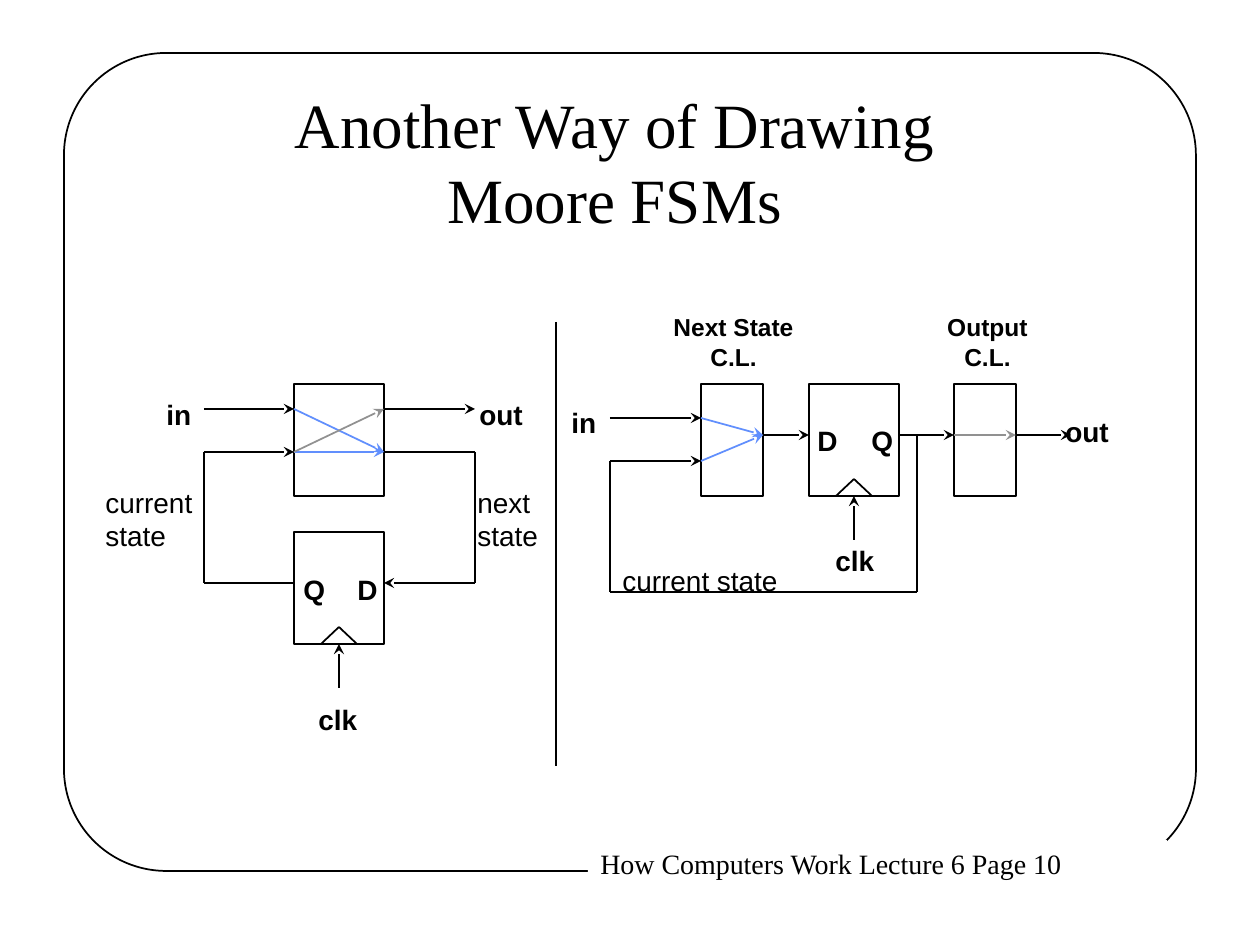
import itertools

import pptx
import pptx.dml.color
import pptx.enum.shapes
import pptx.enum.text
import pptx.oxml
import pptx.oxml.ns
import pptx.util

PX = 914400 / 126
BLACK, WHITE, BLUE, GRAY = "000000", "FFFFFF", "618FFD", "919191"
SANS, SERIF = "Arial", "Times New Roman"
SHAPES = pptx.enum.shapes.MSO_SHAPE
LEFT = pptx.enum.text.PP_ALIGN.LEFT
CENTER = pptx.enum.text.PP_ALIGN.CENTER

TITLE = ["Another Way of Drawing", "Moore FSMs"]
FOOTER = "How Computers Work Lecture 6 Page 10"

BOX_HEIGHT = 112
# left, top, width
LOGIC_BOXES = [(294, 384, 90), (701, 384, 62), (954, 384, 62)]
REGISTERS = [(294, 532, 90), (809, 384, 90)]
CLOCK_HALF_WIDTH, CLOCK_HEIGHT, CLOCK_WIRE = 18, 17, 44

# points, colour, arrow at the last point
WIRES = [
    ([(556, 322), (556, 766)], BLACK, False),
    # Left machine
    ([(204, 409), (294, 409)], BLACK, True),
    ([(384, 409), (475, 409)], BLACK, True),
    ([(384, 452), (475, 452), (475, 583), (384, 583)], BLACK, True),
    ([(294, 583), (204, 583), (204, 452), (294, 452)], BLACK, True),
    ([(294, 409), (384, 452)], BLUE, True),
    ([(294, 452), (384, 452)], BLUE, True),
    ([(294, 452), (384, 409)], GRAY, True),
    # Right machine
    ([(610, 418), (701, 418)], BLACK, True),
    ([(701, 418), (763, 435)], BLUE, True),
    ([(701, 461), (763, 435)], BLUE, True),
    ([(763, 435), (809, 435)], BLACK, True),
    ([(899, 435), (954, 435)], BLACK, True),
    ([(954, 435), (1016, 435)], GRAY, True),
    ([(1016, 435), (1071, 435)], BLACK, True),
    ([(917, 435), (917, 592), (610, 592), (610, 461), (701, 461)], BLACK, True),
]

# lines, left, top, width
SIGNAL_LABELS = [
    (["in"], 154, 391, 53),
    (["out"], 467, 391, 73),
    (["Q"], 291, 566, 48),
    (["D"], 345, 566, 47),
    (["clk"], 306, 696, 66),
    (["in"], 559, 399, 53),
    (["out"], 1053, 408, 73),
    (["D"], 805, 417, 47),
    (["Q"], 859, 417, 48),
    (["clk"], 823, 537, 66),
]
STATE_LABELS = [
    (["next", "state"], 465, 479, 91),
    (["current", "state"], 93, 479, 122),
    (["current state"], 610, 557, 194),
]
LOGIC_LABELS = [
    (["Next State", "C.L."], 656, 306, 155),
    (["Output", "C.L."], 930, 306, 115),
]
# labels, size, bold, alignment, box height by number of lines
LABEL_GROUPS = [
    (SIGNAL_LABELS, 16, True, LEFT, {1: 46}),
    (STATE_LABELS, 16, False, LEFT, {1: 46, 2: 79}),
    (LOGIC_LABELS, 14, True, CENTER, {2: 72}),
]


def px(*lengths):
    return [pptx.util.Emu(round(length * PX)) for length in lengths]


def color(value):
    return pptx.dml.color.RGBColor.from_string(value)


def add_box(slide, kind, left, top, width, height, fill=None, line=None):
    shape = slide.shapes.add_shape(kind, *px(left, top, width, height))
    shape.shadow.inherit = False
    for part, value in ((shape.fill, fill), (shape.line.fill, line)):
        if value:
            part.solid()
            part.fore_color.rgb = color(value)
        else:
            part.background()
    if line:
        shape.line.width = pptx.util.Pt(1)
    return shape


def add_run(paragraph, text, size, font, bold=False):
    run = paragraph.add_run()
    run.text = text
    run.font.size = pptx.util.Pt(size)
    run.font.name = font
    run.font.bold = bold
    run.font.color.rgb = color(BLACK)


def add_label(slide, lines, left, top, width, height, size, bold, alignment):
    frame = slide.shapes.add_textbox(*px(left, top, width, height)).text_frame
    frame.word_wrap = False
    for number, text in enumerate(lines):
        paragraph = frame.add_paragraph() if number else frame.paragraphs[0]
        paragraph.alignment = alignment
        add_run(paragraph, text, size, SANS, bold)


def add_line(slide, start, end, line_color=BLACK, arrow=False):
    line = slide.shapes.add_connector(
        pptx.enum.shapes.MSO_CONNECTOR.STRAIGHT, *px(*start, *end))
    line.line.width = pptx.util.Pt(1)
    line.line.color.rgb = color(line_color)
    if arrow:
        outline = line.line._get_or_add_ln()
        outline.append(pptx.oxml.parse_xml(
            f'<a:tailEnd {pptx.oxml.ns.nsdecls("a")} type="stealth"/>'))
    properties = line._element.spPr
    properties.append(pptx.oxml.parse_xml(
        f'<a:effectLst {pptx.oxml.ns.nsdecls("a")}/>'))
    return line


def add_wire(slide, points, line_color, arrow):
    for start, end in itertools.pairwise(points):
        add_line(slide, start, end, line_color, arrow and end == points[-1])


def add_register(slide, left, top, width):
    """Draw a register with its clock notch and clock input."""
    box = add_box(slide, SHAPES.RECTANGLE, left, top, width, BOX_HEIGHT, WHITE, BLACK)
    middle, bottom = left + width // 2, top + BOX_HEIGHT
    notch = [(middle - CLOCK_HALF_WIDTH, bottom), (middle, bottom - CLOCK_HEIGHT),
             (middle + CLOCK_HALF_WIDTH, bottom)]
    add_wire(slide, notch, BLACK, False)
    clock = add_line(slide, (middle, bottom + CLOCK_WIRE), (middle, bottom), arrow=True)
    clock.end_connect(box, 2)


def add_frame(slide):
    border = add_box(slide, SHAPES.ROUNDED_RECTANGLE, 64, 53, 1132, 818, line=BLACK)
    border.adjustments[0] = 0.125
    footer = add_box(slide, SHAPES.RECTANGLE, 588, 840, 579, 46, fill=WHITE)
    frame = footer.text_frame
    frame.word_wrap = False
    frame.vertical_anchor = pptx.enum.text.MSO_ANCHOR.TOP
    frame.paragraphs[0].alignment = LEFT
    add_run(frame.paragraphs[0], FOOTER, 16, SERIF)


def add_title(slide):
    frame = slide.shapes.add_textbox(*px(210, 136, 809, 50)).text_frame
    frame.word_wrap = True
    frame.vertical_anchor = pptx.enum.text.MSO_ANCHOR.MIDDLE
    paragraph = frame.paragraphs[0]
    paragraph.alignment = CENTER
    for number, text in enumerate(TITLE):
        if number:
            paragraph.add_line_break()
        add_run(paragraph, text, 36, SERIF)


def main():
    presentation = pptx.Presentation()
    presentation.slide_width, presentation.slide_height = px(1260, 945)
    slide = presentation.slides.add_slide(presentation.slide_layouts[6])
    add_frame(slide)
    add_title(slide)
    for left, top, width in LOGIC_BOXES:
        add_box(slide, SHAPES.RECTANGLE, left, top, width, BOX_HEIGHT, WHITE, BLACK)
    for register in REGISTERS:
        add_register(slide, *register)
    for wire in WIRES:
        add_wire(slide, *wire)
    for labels, size, bold, alignment, heights in LABEL_GROUPS:
        for lines, left, top, width in labels:
            add_label(slide, lines, left, top, width, heights[len(lines)],
                      size, bold, alignment)
    presentation.save("out.pptx")


if __name__ == "__main__":
    main()
